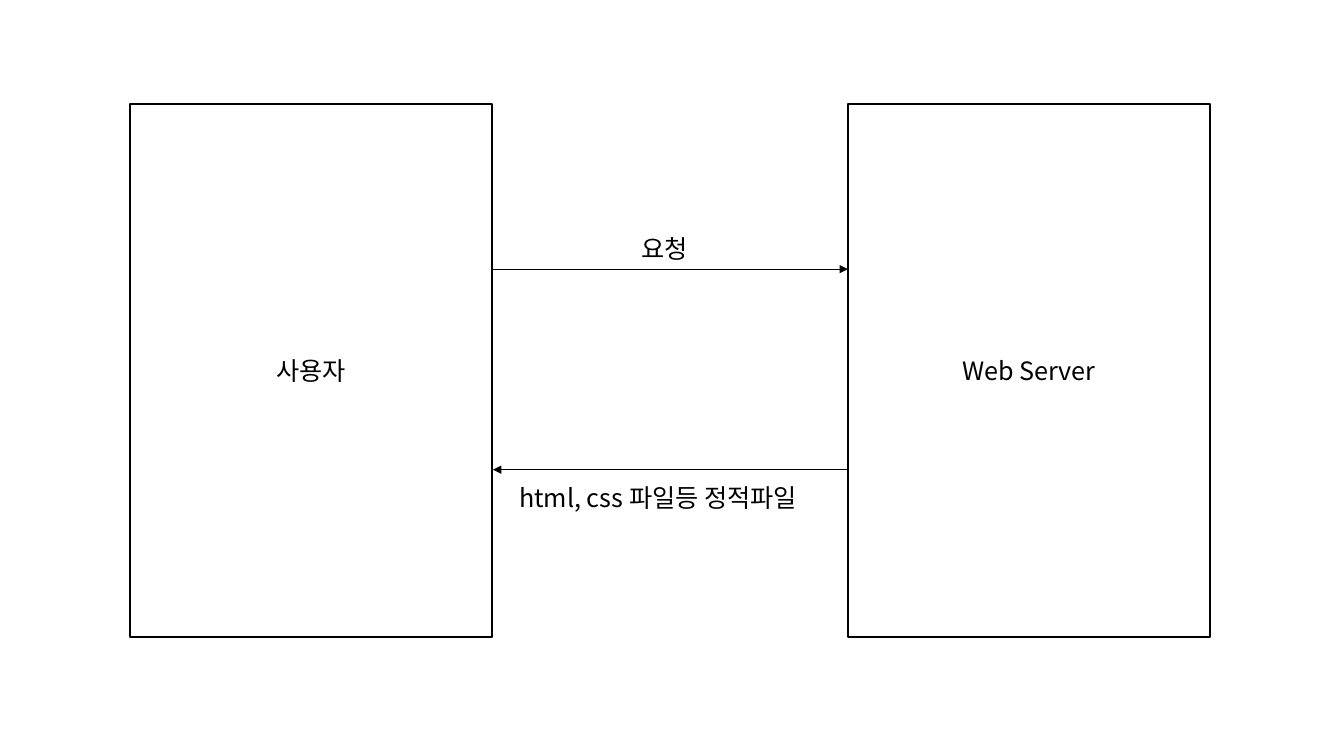
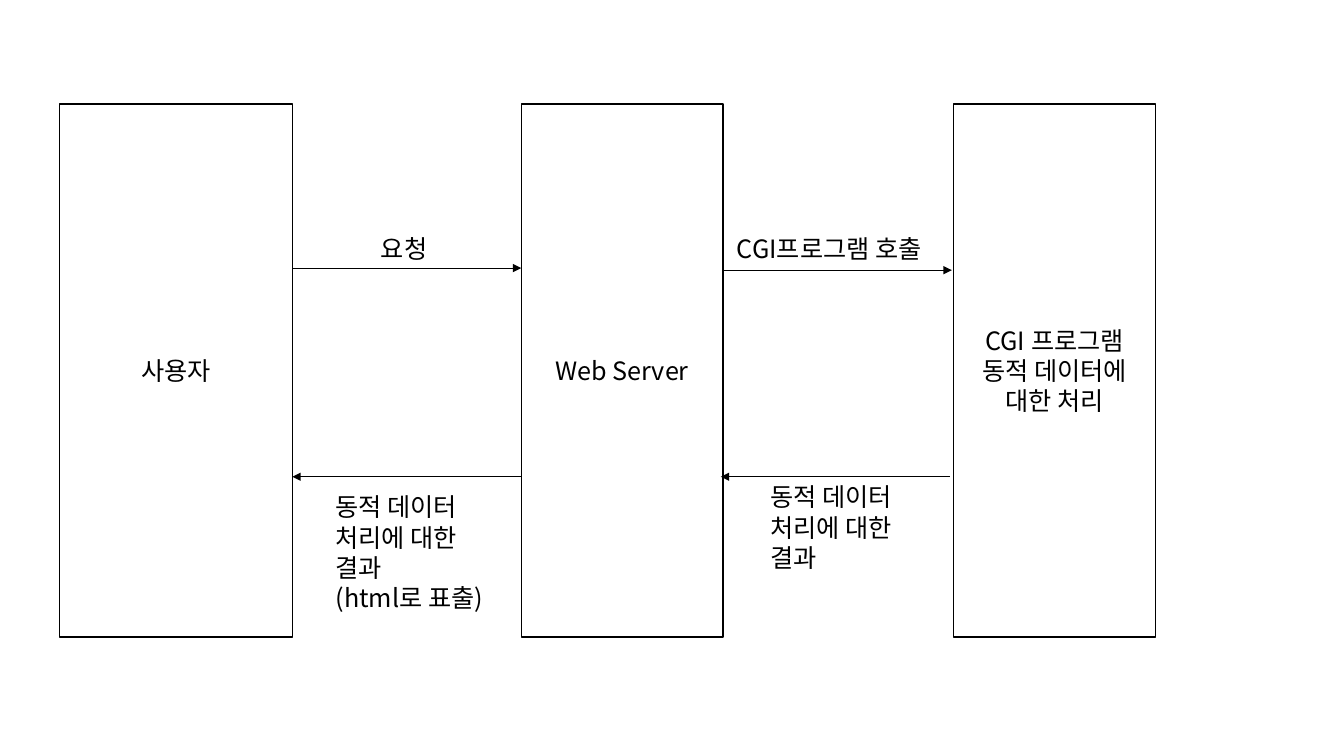
from lxml import etree
from pptx import Presentation
from pptx.dml.color import RGBColor
from pptx.enum.shapes import MSO_CONNECTOR, MSO_SHAPE
from pptx.enum.text import MSO_ANCHOR, PP_ALIGN
from pptx.oxml.ns import qn
from pptx.util import Inches, Pt

RECT = MSO_SHAPE.RECTANGLE
STRAIGHT = MSO_CONNECTOR.STRAIGHT
MIDDLE, TOP = MSO_ANCHOR.MIDDLE, MSO_ANCHOR.TOP
CENTER, LEFT = PP_ALIGN.CENTER, PP_ALIGN.LEFT

FONT = "Noto Sans CJK KR"
TEXT_SIZE = 18
INK = "000000"
BOX_TOP, BOX_HEIGHT = 1.03, 5.29
REQUEST_LABEL_TOP = 2.27
LINE_HEIGHT, LABEL_PADDING = 0.3, 0.1

USER, SERVER, REQUEST = "사용자", "Web Server", "요청"
RESULT = ["동적 데이터", "처리에 대한", "결과"]


def color(value):
    """Turn a hex string into a colour."""
    return RGBColor.from_string(value)


def write(sp, lines, align, anchor):
    """Write one paragraph per line into a shape."""
    tf = sp.text_frame
    tf.word_wrap = True
    tf.vertical_anchor = anchor
    for i, line in enumerate(lines):
        p = tf.add_paragraph() if i else tf.paragraphs[0]
        p.alignment = align
        r = p.add_run()
        r.text = line
        r.font.name = FONT
        r.font.size = Pt(TEXT_SIZE)
        r.font.color.rgb = color(INK)
        ea = etree.SubElement(r.font._element, qn("a:ea"))
        ea.set("typeface", FONT)


def add_box(s, left, width, *lines):
    """Add a tall outlined box for one participant."""
    sp = s.shapes.add_shape(RECT, Inches(left), Inches(BOX_TOP),
                            Inches(width), Inches(BOX_HEIGHT))
    sp.shadow.inherit = False
    sp.fill.background()
    sp.line.color.rgb = color(INK)
    sp.line.width = Pt(1)
    write(sp, lines, CENTER, MIDDLE)


def add_arrow(s, start, end, y):
    """Add a horizontal arrow that points at end."""
    c = s.shapes.add_connector(STRAIGHT, Inches(start), Inches(y),
                               Inches(end), Inches(y))
    c.line.color.rgb = color(INK)
    c.line.width = Pt(0.5)
    etree.SubElement(c.line._get_or_add_ln(), qn("a:tailEnd"), type="triangle")
    etree.SubElement(c._element.spPr, qn("a:effectLst"))


def add_label(s, left, top, width, *lines):
    """Add a left-aligned message label."""
    height = LINE_HEIGHT * len(lines) + LABEL_PADDING
    sp = s.shapes.add_textbox(Inches(left), Inches(top),
                              Inches(width), Inches(height))
    write(sp, lines, LEFT, TOP)


def static_slide(s):
    """Show a web server that returns static files."""
    add_box(s, 1.29, 3.59, USER)
    add_box(s, 8.41, 3.59, SERVER)
    add_arrow(s, 4.89, 8.41, 2.67)
    add_label(s, 6.26, REQUEST_LABEL_TOP, 0.71, REQUEST)
    add_arrow(s, 8.41, 4.89, 4.66)
    add_label(s, 5.05, 4.74, 3.24, "html, css 파일등 정적파일")


def dynamic_slide(s):
    """Show a web server that calls a CGI program."""
    add_box(s, 0.59, 2.31, USER)
    add_box(s, 5.17, 2, SERVER)
    add_box(s, 9.46, 2, "CGI 프로그램", "동적 데이터에 대한 처리")
    add_arrow(s, 2.91, 5.17, 2.66)
    add_label(s, 3.68, REQUEST_LABEL_TOP, 0.71, REQUEST)
    add_arrow(s, 7.17, 9.44, 2.68)
    add_label(s, 7.21, REQUEST_LABEL_TOP, 2.2, "CGI프로그램 호출")
    add_arrow(s, 9.42, 7.15, 4.73)
    add_label(s, 7.54, 4.73, 1.55, *RESULT)
    add_arrow(s, 5.17, 2.9, 4.73)
    add_label(s, 3.23, 4.83, 1.72, *RESULT, "(html로 표출)")


def main():
    """Build and save the presentation."""
    prs = Presentation()
    prs.slide_width, prs.slide_height = Inches(13.33), Inches(7.5)
    for build in (static_slide, dynamic_slide):
        build(prs.slides.add_slide(prs.slide_layouts[6]))
    prs.save("out.pptx")


main()
